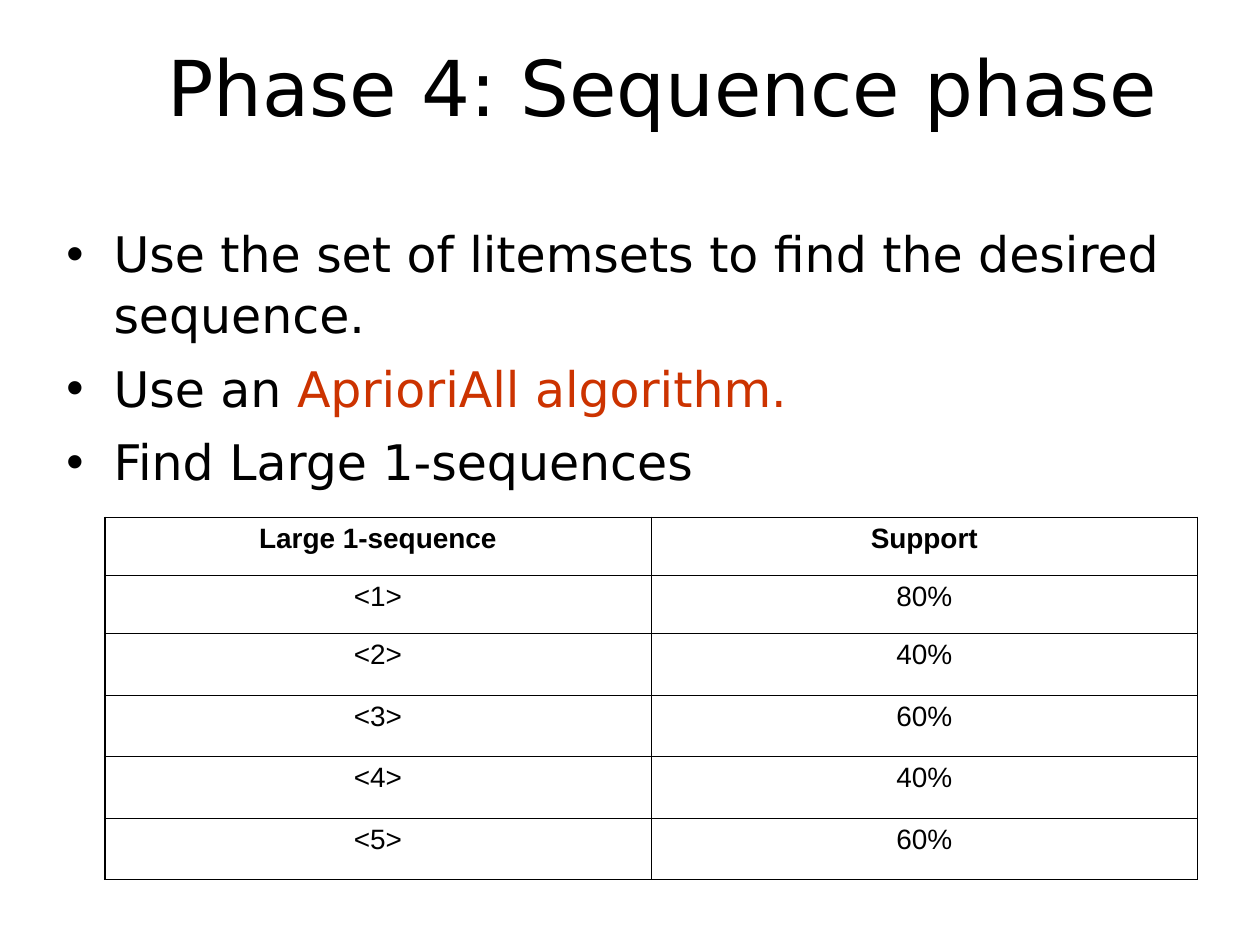
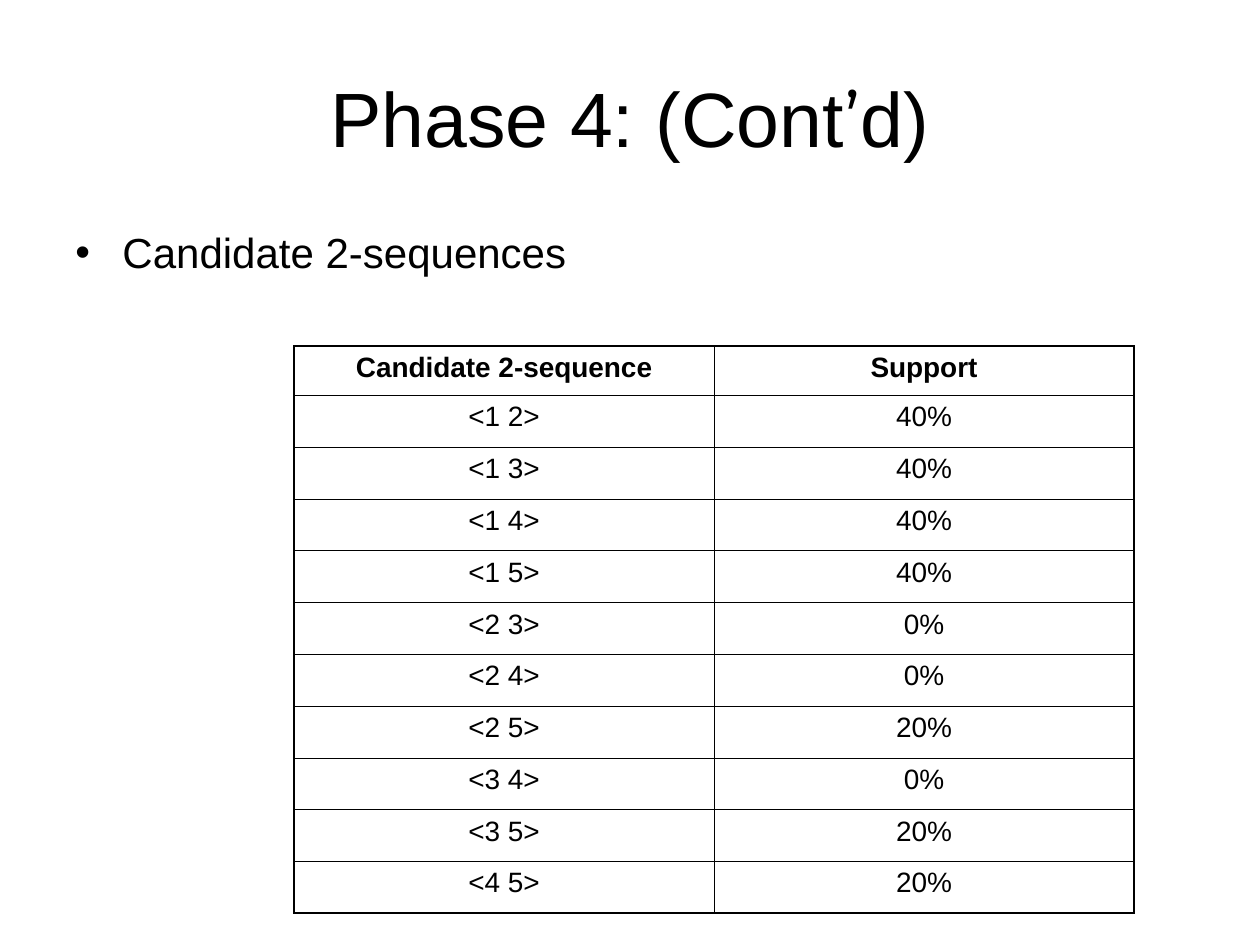
"""Builds two slides on the sequence phase, each with bullets and a support table."""
from dataclasses import dataclass
from typing import NamedTuple

from lxml import etree
from pptx import Presentation, dml, util as u
from pptx.dml import color as col
from pptx.enum import text as t
from pptx.oxml import ns


@dataclass(frozen=True)
class Theme:
    ink: str = "000000"
    accent: str = "CC3300"
    sans: str = "Arial"
    wide: str = "DejaVu Sans"
    quote: str = "Montserrat"
    title: int = 44
    large: int = 28
    body: int = 24
    cell: int = 16
    thick: float = 1.08
    thin: float = 0.45
    indent: float = 0.95


class Box(NamedTuple):
    left: float
    top: float
    width: float
    height: float


class Run(NamedTuple):
    text: str
    font: str
    color: str


@dataclass(frozen=True)
class Grid:
    box: Box
    heads: tuple[str, str]
    rows: list[tuple[str, str]]
    leads: list[float]


THEME = Theme()
LEFT, CENTER = t.PP_ALIGN.LEFT, t.PP_ALIGN.CENTER
TOP, MIDDLE = t.MSO_ANCHOR.TOP, t.MSO_ANCHOR.MIDDLE


def run(text: str, font: str = THEME.sans, color: str = THEME.ink) -> Run:
    return Run(text, font, color)


def node(parent, tag: str, **attrs: str):
    return etree.SubElement(parent, ns.qn(tag), attrs)


def add_dot(para) -> None:
    props = para._p.get_or_add_pPr()
    gap = u.Cm(THEME.indent)
    props.set("marL", str(gap))
    props.set("indent", str(-gap))
    node(node(props, "a:buClr"), "a:srgbClr", val=THEME.ink)
    node(props, "a:buFont", typeface=THEME.sans)
    node(props, "a:buChar", char="•")


def write(frame, paras: list[list[Run]], *, size: int, bold: bool = False,
          align=LEFT, anchor=TOP, dots: bool = False, gap: float = 0,
          lead: float = 1) -> None:
    frame.word_wrap = True
    frame.vertical_anchor = anchor
    for i, runs in enumerate(paras):
        para = frame.add_paragraph() if i else frame.paragraphs[0]
        if dots:
            add_dot(para)
        para.alignment = align
        para.line_spacing = lead
        para.space_before = u.Pt(gap if i else 0)
        for part in runs:
            piece = para.add_run()
            piece.text = part.text
            piece.font.name = part.font
            piece.font.size = u.Pt(size)
            piece.font.bold = bold
            piece.font.color.rgb = col.RGBColor.from_string(part.color)


def add_text(slide, box: Box, paras: list[list[Run]], **style) -> None:
    shape = slide.shapes.add_textbox(*map(u.Cm, box))
    write(shape.text_frame, paras, **style)


def add_edge(cell, side: str, outer: bool) -> None:
    width = u.Pt(THEME.thick if outer else THEME.thin)
    line = node(cell._tc.get_or_add_tcPr(), f"a:ln{side}", w=str(width))
    node(node(line, "a:solidFill"), "a:srgbClr", val=THEME.ink)


def add_grid(slide, grid: Grid) -> None:
    data = [grid.heads, *grid.rows]
    frame = slide.shapes.add_table(len(data), 2, *map(u.Cm, grid.box))
    table = frame.table
    table.first_row = table.horz_banding = False
    rest = (grid.box.height - sum(grid.leads)) / (len(data) - len(grid.leads))
    for r, texts in enumerate(data):
        table.rows[r].height = u.Cm(grid.leads[r] if r < len(grid.leads) else rest)
        for c, text in enumerate(texts):
            cell = table.cell(r, c)
            edges = {"L": c == 0, "R": c == 1, "T": r == 0, "B": r == len(data) - 1}
            for side, outer in edges.items():
                add_edge(cell, side, outer)
            cell.fill.background()
            write(cell.text_frame, [[run(text)]], size=THEME.cell, bold=r == 0,
                  align=CENTER)


def phase_slide(slide) -> None:
    wide = THEME.wide
    add_text(slide, Box(3.12, 0.13, 22.28, 3.18),
             [[run("Phase 4: Sequence phase", wide)]], size=THEME.title, anchor=MIDDLE)
    add_text(slide, Box(1.09, 4.34, 24.31, 11.79), [
        [run("Use the set of litemsets to find the desired sequence.", wide)],
        [run("Use an ", wide), run("AprioriAll algorithm.", wide, THEME.accent)],
        [run("Find Large 1-sequences", wide)],
    ], size=THEME.large, dots=True, gap=7, lead=1.04)
    shares = ["80%", "40%", "60%", "40%", "60%"]
    rows = [(f"<{i}>", share) for i, share in enumerate(shares, 1)]
    add_grid(slide, Grid(Box(2.11, 10.43, 22.03, 7.3),
                         ("Large 1-sequence", "Support"), rows, [1.17, 1.17]))


def pair_slide(slide) -> None:
    add_text(slide, Box(1.27, 0.76, 22.86, 3.18),
             [[run("Phase 4: (Cont"), run("’", THEME.quote), run("d)")]],
             size=THEME.title, align=CENTER, anchor=MIDDLE)
    add_text(slide, Box(1.27, 4.45, 22.86, 12.57),
             [[run("Candidate 2-sequences")]], size=THEME.body, dots=True)
    rows = [("<1 2>", "40%"), ("<1 3>", "40%"), ("<1 4>", "40%"), ("<1 5>", "40%"),
            ("<2 3>", "0%"), ("<2 4>", "0%"), ("<2 5>", "20%"),
            ("<3 4>", "0%"), ("<3 5>", "20%"), ("<4 5>", "20%")]
    add_grid(slide, Grid(Box(5.93, 6.98, 16.93, 11.43),
                         ("Candidate 2-sequence", "Support"), rows, [0.99]))


def main() -> None:
    deck = Presentation()
    deck.slide_width, deck.slide_height = u.Cm(25.4), u.Cm(19.05)
    for build in (phase_slide, pair_slide):
        build(deck.slides.add_slide(deck.slide_layouts[6]))
    deck.save("out.pptx")


if __name__ == "__main__":
    main()
